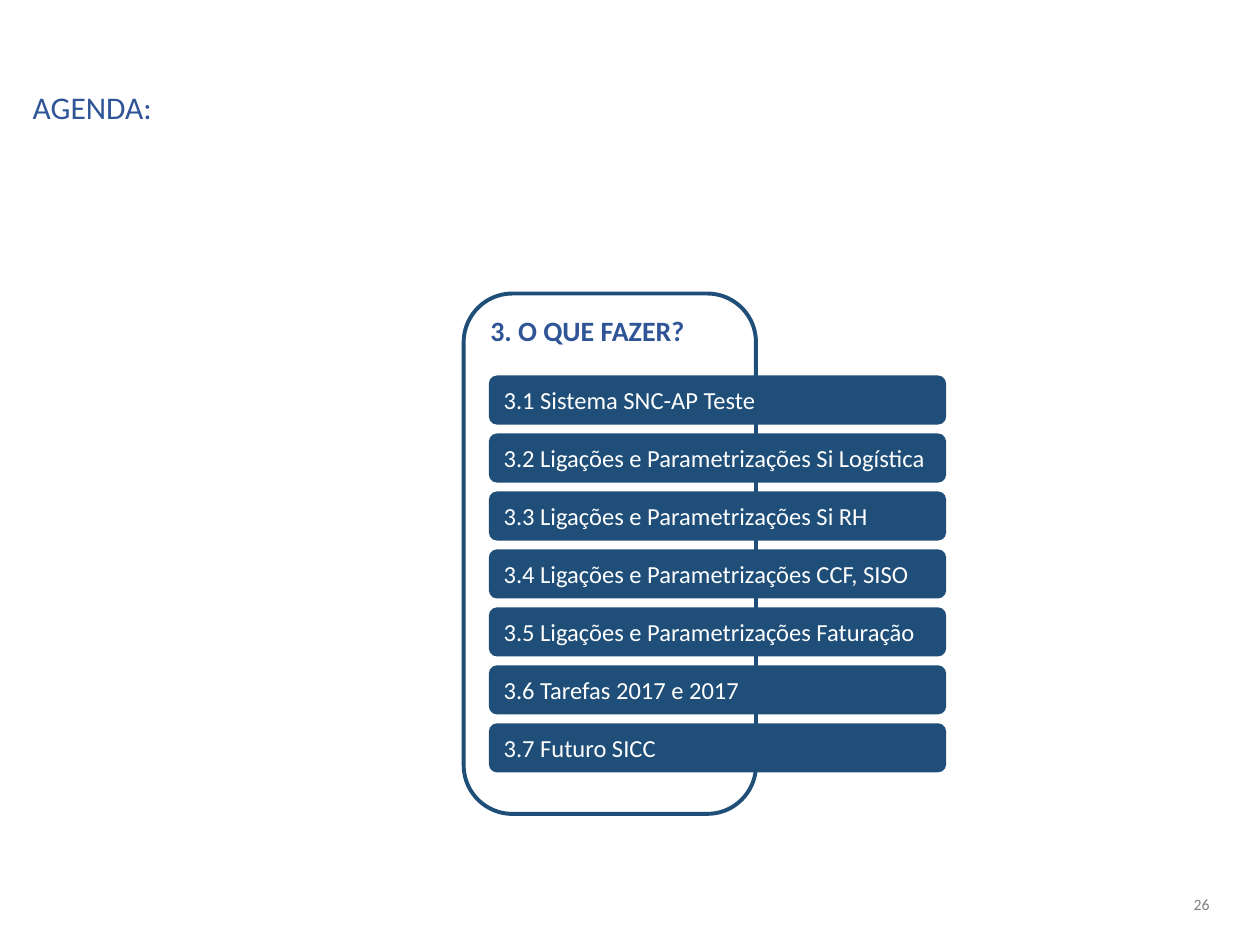
from pptx import Presentation
from pptx.dml.color import RGBColor
from pptx.enum.shapes import MSO_SHAPE
from pptx.enum.text import MSO_ANCHOR, MSO_AUTO_SIZE, PP_ALIGN
from pptx.util import Inches, Pt

ROUNDED = MSO_SHAPE.ROUNDED_RECTANGLE
TOP, MIDDLE = MSO_ANCHOR.TOP, MSO_ANCHOR.MIDDLE
LEFT, RIGHT = PP_ALIGN.LEFT, PP_ALIGN.RIGHT
NO_AUTOFIT = MSO_AUTO_SIZE.NONE
TITLE_ONLY = 5

FONT = "Calibri"
COLORS = {
    "heading": "2F5597",
    "navy": "1F4E79",
    "white": "FFFFFF",
    "gray": "808080",
}
TOPICS = [
    "3.1 Sistema SNC-AP Teste",
    "3.2 Ligações e Parametrizações Si Logística",
    "3.3 Ligações e Parametrizações Si RH",
    "3.4 Ligações e Parametrizações CCF, SISO",
    "3.5 Ligações e Parametrizações Faturação",
    "3.6 Tarefas 2017 e 2017",
    "3.7 Futuro SICC",
]


def color(name):
    return RGBColor.from_string(COLORS[name])


def write_text(shape, text, size, color_name, bold=False, align=LEFT,
               anchor=MIDDLE, inset=None):
    frame = shape.text_frame
    frame.word_wrap = True
    frame.auto_size = NO_AUTOFIT
    frame.vertical_anchor = anchor
    if inset is not None:
        frame.margin_left = frame.margin_right = Inches(inset)
        frame.margin_top = frame.margin_bottom = Inches(inset)
    paragraph = frame.paragraphs[0]
    paragraph.alignment = align
    run = paragraph.add_run()
    run.text = text
    run.font.name = FONT
    run.font.size = Pt(size)
    run.font.bold = bold
    run.font.color.rgb = color(color_name)


def add_rounded_box(slide, left, top, width, height, fill, line=None):
    shape = slide.shapes.add_shape(
        ROUNDED, Inches(left), Inches(top), Inches(width), Inches(height))
    shape.shadow.inherit = False
    shape.fill.solid()
    shape.fill.fore_color.rgb = color(fill)
    if line:
        shape.line.color.rgb = color(line)
        shape.line.width = Pt(2.25)
    else:
        shape.line.fill.background()
    return shape


def place_title(slide, left, top, width, height):
    title = slide.shapes.title
    title.left, title.top = Inches(left), Inches(top)
    title.width, title.height = Inches(width), Inches(height)
    write_text(title, "AGENDA:", size=18, color_name="heading")


def add_page_number(slide, left, top, width, height):
    box = slide.shapes.add_textbox(
        Inches(left), Inches(top), Inches(width), Inches(height))
    write_text(box, "26", size=9, color_name="gray", align=RIGHT, inset=0.04)


def add_agenda_panel(slide, left, top, width, height):
    panel = add_rounded_box(slide, left, top, width, height,
                            fill="white", line="navy")
    write_text(panel, "3. O QUE FAZER?", size=16, color_name="heading",
               bold=True, anchor=TOP)
    bar_left, first_top = left + 0.2, top + 0.65
    bar_width, bar_height, pitch = 3.63, 0.39, 0.46
    for index, topic in enumerate(TOPICS):
        bar = add_rounded_box(slide, bar_left, first_top + index * pitch,
                              bar_width, bar_height, fill="navy")
        write_text(bar, topic, size=14, color_name="white")


def main():
    presentation = Presentation()
    presentation.slide_width = Inches(10)
    presentation.slide_height = Inches(7.5)
    slide = presentation.slides.add_slide(
        presentation.slide_layouts[TITLE_ONLY])
    place_title(slide, 0.16, 0.65, 9.29, 0.39)
    add_agenda_panel(slide, 3.68, 2.33, 2.32, 4.13)
    add_page_number(slide, 9.25, 6.98, 0.39, 0.39)
    presentation.save("out.pptx")


if __name__ == "__main__":
    main()
